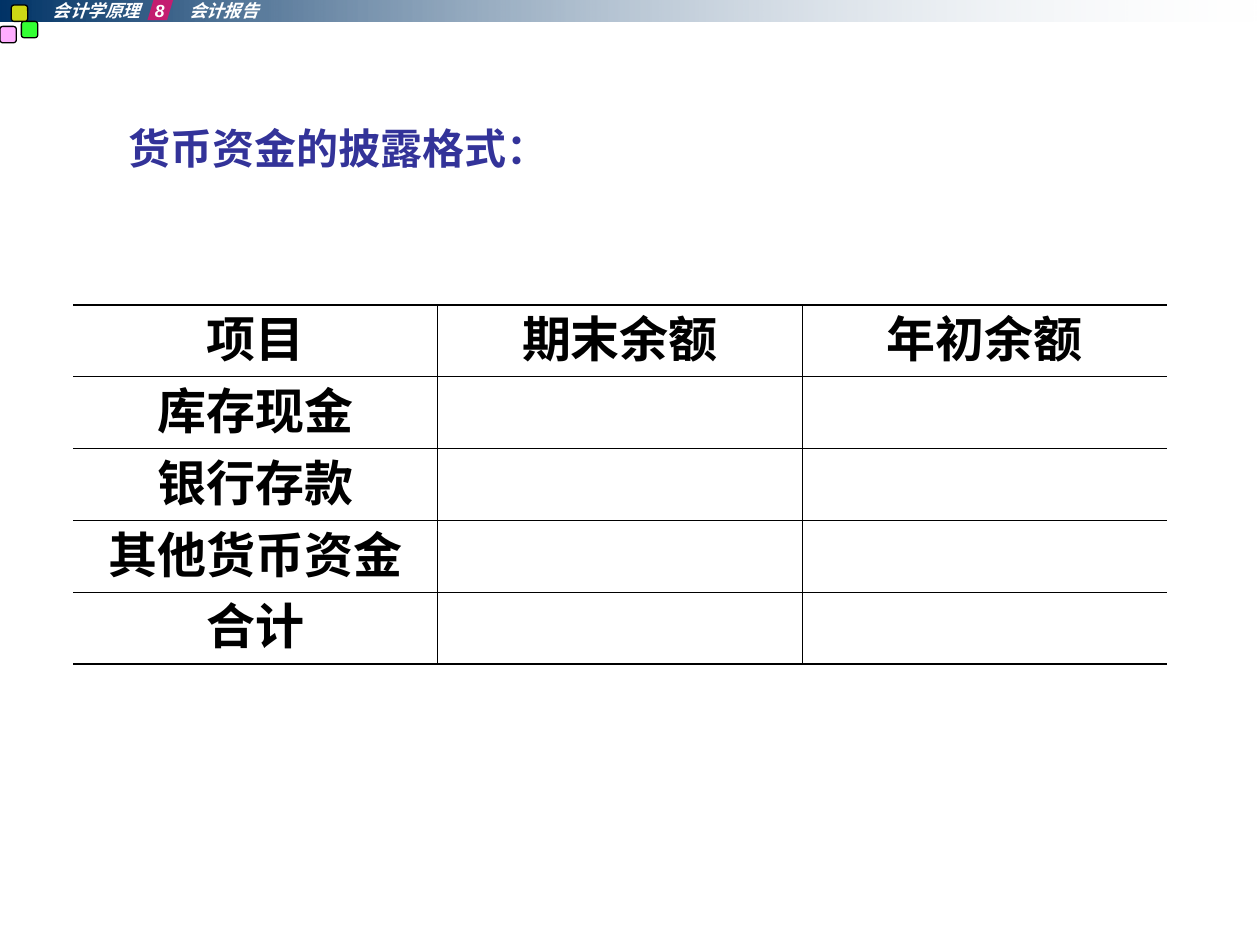
import pptx
import pptx.util
import pptx.dml.color
import pptx.enum.shapes
import pptx.enum.text
import pptx.oxml
import pptx.oxml.ns
from lxml import etree

Inches = pptx.util.Inches
Pt = pptx.util.Pt
RGBColor = pptx.dml.color.RGBColor
SHAPE = pptx.enum.shapes.MSO_SHAPE
ALIGN = pptx.enum.text.PP_ALIGN
ANCHOR = pptx.enum.text.MSO_ANCHOR
qn = pptx.oxml.ns.qn

NAVY = RGBColor(0x00, 0x33, 0x66)
MIST = RGBColor(0xE7, 0xEC, 0xF1)
PINK = RGBColor(0xFF, 0x99, 0xFF)
GREEN = RGBColor(0x00, 0xFF, 0x00)
YELLOW = RGBColor(0xFF, 0xFF, 0x00)
MAGENTA = RGBColor(0xFF, 0x00, 0x66)
INDIGO = RGBColor(0x33, 0x33, 0x99)
WHITE = RGBColor(0xFF, 0xFF, 0xFF)
BLACK = RGBColor(0x00, 0x00, 0x00)

ROWS = [
    ["项目", "期末余额", "年初余额"],
    ["库存现金", "", ""],
    ["银行存款", "", ""],
    ["其他货币资金", "", ""],
    ["合计", "", ""],
]


def set_alpha(color_element, percent):
    alpha = etree.SubElement(color_element, qn("a:alpha"))
    alpha.set("val", str(percent * 1000))


def write_text(frame, text, size, color, italic=False, align=ALIGN.LEFT, tabs=()):
    para = frame.paragraphs[0]
    para.alignment = align
    if tabs:
        tab_list = etree.SubElement(para._p.get_or_add_pPr(), qn("a:tabLst"))
        for position in tabs:
            etree.SubElement(tab_list, qn("a:tab"), pos=str(Inches(position)), algn="l")
    span = para.add_run()
    span.text = text
    font = span.font
    font.name = "Arial"
    font.size = Pt(size)
    font.bold = True
    font.italic = italic
    font.color.rgb = color
    etree.SubElement(span._r.get_or_add_rPr(), qn("a:ea"), typeface="Arial")


def add_text_box(page, left, top, width, height, text, margins=(0, 0), **text_format):
    box = page.shapes.add_textbox(Inches(left), Inches(top), Inches(width), Inches(height))
    frame = box.text_frame
    frame.word_wrap = True
    frame.margin_left = frame.margin_right = Inches(margins[0])
    frame.margin_top = frame.margin_bottom = Inches(margins[1])
    write_text(frame, text, **text_format)


def add_plain_shape(page, kind, left, top, width, height):
    shape = page.shapes.add_shape(
        kind, Inches(left), Inches(top), Inches(width), Inches(height))
    shape.shadow.inherit = False
    shape.line.fill.background()
    return shape


def add_tinted_shape(page, kind, left, top, width, height, color, alpha, adjustment):
    shape = add_plain_shape(page, kind, left, top, width, height)
    shape.adjustments[0] = adjustment
    shape.fill.solid()
    shape.fill.fore_color.rgb = color
    set_alpha(shape._element.spPr.find(qn("a:solidFill"))[0], alpha)
    return shape


def add_header_band(page):
    band = add_plain_shape(page, SHAPE.RECTANGLE, 0, 0, 10, 0.17)
    band.fill.gradient()
    band.fill.gradient_angle = 0
    for stop, color, position in zip(band.fill.gradient_stops, (NAVY, MIST), (0, 1)):
        stop.color.rgb = color
        stop.position = position
    set_alpha(band._element.spPr.findall(".//" + qn("a:srgbClr"))[-1], 0)


def add_corner_square(page, left, top, color):
    square = add_tinted_shape(
        page, SHAPE.ROUNDED_RECTANGLE, left, top, 0.13, 0.13, color, 80, 0.17)
    square.line.color.rgb = BLACK
    square.line.width = Pt(0.75)


def set_borders(cell, widths):
    properties = cell._tc.get_or_add_tcPr()
    for index, (side, width) in enumerate(widths.items()):
        line = etree.Element(qn("a:ln" + side), w=str(Pt(width)))
        if width:
            fill = etree.SubElement(line, qn("a:solidFill"))
            etree.SubElement(fill, qn("a:srgbClr"), val=str(BLACK))
        else:
            etree.SubElement(line, qn("a:noFill"))
        properties.insert(index, line)


def add_balance_table(page):
    row_count, column_count = len(ROWS), len(ROWS[0])
    frame = page.shapes.add_table(
        row_count, column_count, Inches(0.58), Inches(2.42), Inches(8.68), Inches(2.85))
    table = frame.table
    table.first_row = False
    table.horz_banding = False
    for row_index, labels in enumerate(ROWS):
        table.rows[row_index].height = Inches(0.57)
        for column_index, label in enumerate(labels):
            cell = table.cell(row_index, column_index)
            cell.fill.background()
            cell.vertical_anchor = ANCHOR.MIDDLE
            set_borders(cell, {
                "L": 0.45 if column_index > 0 else 0,
                "R": 0.45 if column_index < column_count - 1 else 0,
                "T": 0.45 if row_index > 0 else 1.08,
                "B": 0.45 if row_index < row_count - 1 else 1.08,
            })
            if label:
                write_text(cell.text_frame, label, size=28, color=BLACK, align=ALIGN.CENTER)


def main():
    deck = pptx.Presentation()
    deck.slide_width = Inches(10)
    deck.slide_height = Inches(7.5)
    page = deck.slides.add_slide(deck.slide_layouts[6])
    add_header_band(page)
    add_corner_square(page, 0, 0.21, PINK)
    add_corner_square(page, 0.17, 0.17, GREEN)
    add_corner_square(page, 0.09, 0.04, YELLOW)
    add_tinted_shape(page, SHAPE.PARALLELOGRAM, 1.17, -0.02, 0.21, 0.18, MAGENTA, 70, 0.3)
    add_text_box(page, 0.42, 0, 2.92, 0.17, "会计学原理\t8\t会计报告",
                 size=10, color=WHITE, italic=True, tabs=(0.81, 1.08))
    add_balance_table(page)
    add_text_box(page, 0.92, 0.92, 3.67, 0.5, "货币资金的披露格式：",
                 margins=(0.1, 0.05), size=24, color=INDIGO)
    deck.save("out.pptx")


if __name__ == "__main__":
    main()
